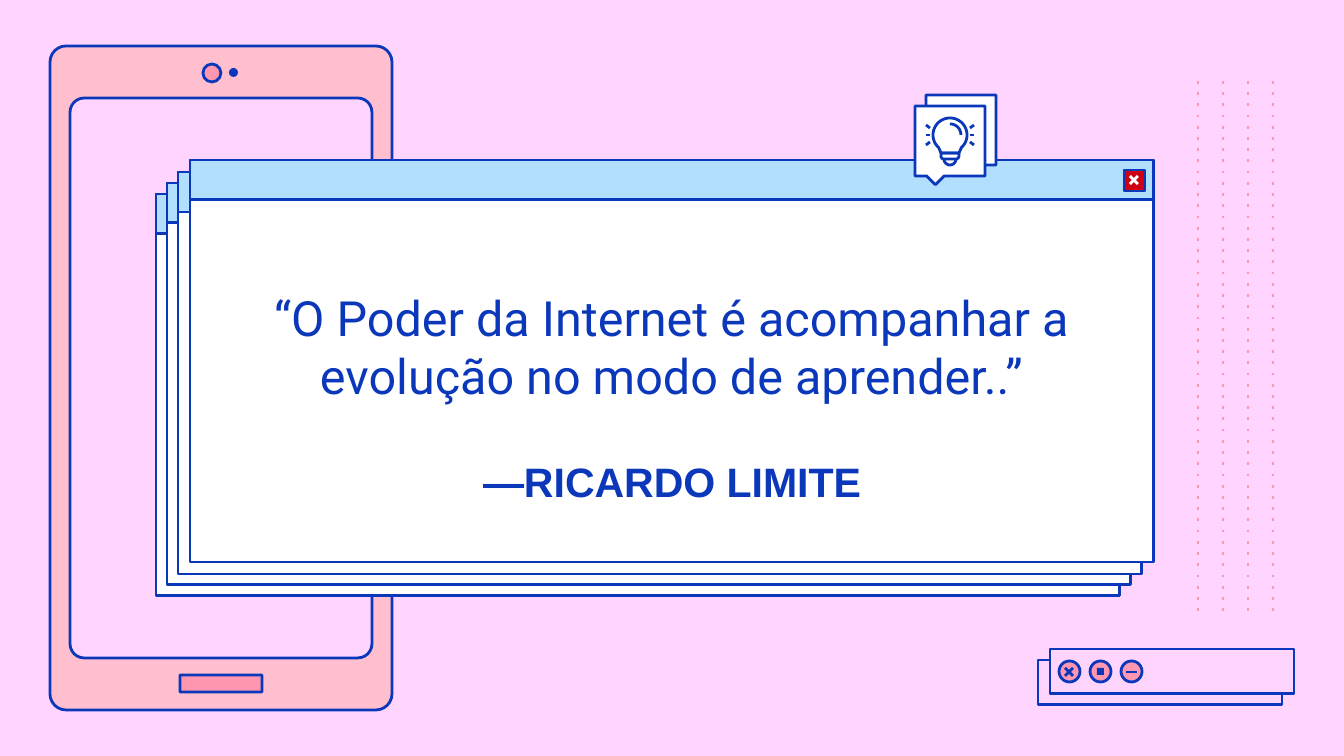
from dataclasses import dataclass
from math import cos, radians, sin

from lxml.etree import SubElement
from pptx import Presentation
from pptx.dml.color import RGBColor as RGB
from pptx.enum.shapes import MSO_CONNECTOR as LINK, MSO_SHAPE as KIND
from pptx.enum.text import MSO_ANCHOR as ANCHOR, PP_ALIGN as ALIGN
from pptx.oxml.ns import qn
from pptx.util import Inches, Pt


@dataclass(frozen=True)
class Theme:
    back: str = "FFD4FF"
    ink: str = "0B37BA"
    rose: str = "FFBFCF"
    pink: str = "FF97B1"
    sky: str = "B3DFFF"
    red: str = "CF0011"
    white: str = "FFFFFF"
    line: float = 1.5
    quote: int = 26
    name: int = 22


THEME = Theme()
SCALE = Inches(10) / 1344


def px(n):
    return round(n * SCALE)


def rgb(tint):
    return RGB.from_string(tint)


def style(item, fill, line):
    item.shadow.inherit = False
    if fill:
        item.fill.solid()
        item.fill.fore_color.rgb = rgb(fill)
    else:
        item.fill.background()
    if line:
        item.line.color.rgb = rgb(line)
        item.line.width = Pt(THEME.line)
    else:
        item.line.fill.background()


def shape(page, kind, x, y, w, h, fill, line=THEME.ink, adj=()):
    item = page.shapes.add_shape(kind, px(x), px(y), px(w), px(h))
    for i, value in enumerate(adj):
        item.adjustments[i] = value
    style(item, fill, line)


def path(page, points, close=False, fill=None):
    start, *rest = [(px(x), px(y)) for x, y in points]
    pen = page.shapes.build_freeform(*start, scale=1.0)
    pen.add_line_segments(rest, close=close)
    style(pen.convert_to_shape(), fill, THEME.ink)


def link(page, x1, y1, x2, y2, tint=THEME.ink, dash=None):
    item = page.shapes.add_connector(LINK.STRAIGHT, px(x1), px(y1), px(x2), px(y2))
    item.line.color.rgb = rgb(tint)
    item.line.width = Pt(THEME.line)
    props = item._element.spPr
    if dash:
        SubElement(props.find(qn("a:ln")), qn("a:prstDash")).set("val", dash)
    SubElement(props, qn("a:effectLst"))


def cross(page, x, y, tint=THEME.ink):
    for d in (-4, 4):
        link(page, x - 4, y - d, x + 4, y + d, tint)


def arc(x, y, r, start, end, step=6):
    return [(x + r * cos(radians(a)), y + r * sin(radians(a)))
            for a in range(start, end + 1, step)]


def text(page, words, x, y, w, h, font, size, bold=False):
    frame = page.shapes.add_textbox(px(x), px(y), px(w), px(h)).text_frame
    frame.word_wrap = True
    frame.vertical_anchor = ANCHOR.MIDDLE
    frame.margin_left = frame.margin_right = Inches(0.1)
    frame.margin_top = frame.margin_bottom = Inches(0.1)
    para = frame.paragraphs[0]
    para.alignment = ALIGN.CENTER
    run = para.add_run()
    run.text = words
    run.font.name = font
    run.font.size = Pt(size)
    run.font.bold = bold
    run.font.color.rgb = rgb(THEME.ink)


def phone(page):
    for kind, box, fill, line in (
        (KIND.ROUNDED_RECTANGLE, (50, 46, 342, 664), THEME.rose, THEME.ink),
        (KIND.ROUNDED_RECTANGLE, (180, 675, 82, 17), THEME.pink, THEME.ink),
        (KIND.OVAL, (203, 64, 18, 18), THEME.pink, THEME.ink),
        (KIND.OVAL, (229, 68, 9, 9), THEME.ink, None),
        (KIND.ROUNDED_RECTANGLE, (70, 98, 302, 560), THEME.back, THEME.ink),
    ):
        adj = (0.047,) if kind == KIND.ROUNDED_RECTANGLE else ()
        shape(page, kind, *box, fill, line, adj)


def dots(page):
    for i in range(4):
        x = 1273 - 25 * i
        link(page, x, 81, x, 613, THEME.pink, "dot")


def tools(page):
    for x, y in ((1038, 660), (1050, 649)):
        shape(page, KIND.RECTANGLE, x, y, 244, 45, THEME.back)
    for i in range(3):
        shape(page, KIND.OVAL, 1059 + 31 * i, 661, 21, 21, THEME.pink)
    cross(page, 1069, 672)
    shape(page, KIND.RECTANGLE, 1097, 668, 7, 7, THEME.ink, None)
    link(page, 1126, 672, 1137, 672)


def stack(page):
    for i in range(4):
        step = 34 * i // 3
        x, y = 156 + step, 194 - step
        shape(page, KIND.RECTANGLE, x, y, 964, 402, THEME.white)
        shape(page, KIND.RECTANGLE, x, y, 964, 40, THEME.sky)
    shape(page, KIND.RECTANGLE, 1124, 170, 21, 21, THEME.red)
    cross(page, 1134, 180, THEME.white)


def idea(page):
    for x, y in ((926, 95), (915, 106)):
        shape(page, KIND.RECTANGULAR_CALLOUT, x, y, 70, 70, THEME.white,
              adj=(-0.208, 0.625))
    mid = 950
    path(page, [(941, 153), *arc(mid, 135, 17, 132, 408), (959, 153)], close=True)
    path(page, [(941, 153), *arc(944, 156, 3, 90, 180)[::-1],
                *arc(956, 156, 3, 0, 90)[::-1], (959, 153)], close=True)
    path(page, arc(mid, 159, 6, 0, 180))
    path(page, arc(mid, 135, 11, 270, 360))
    for side in (-1, 1):
        for near, far in ((128, 125), (135, 135), (142, 145)):
            link(page, mid + 20 * side, near, mid + 24 * side, far)


def main():
    deck = Presentation()
    deck.slide_width, deck.slide_height = px(1344), px(756)
    page = deck.slides.add_slide(deck.slide_layouts[6])
    page.background.fill.solid()
    page.background.fill.fore_color.rgb = rgb(THEME.back)
    phone(page)
    dots(page)
    tools(page)
    stack(page)
    text(page, "—RICARDO LIMITE", 242, 452, 860, 59,
         font="Arial", size=THEME.name, bold=True)
    text(page, "“O Poder da Internet é acompanhar a evolução no modo de aprender..”",
         242, 237, 860, 218, font="Roboto", size=THEME.quote)
    idea(page)
    deck.save("out.pptx")


if __name__ == "__main__":
    main()
